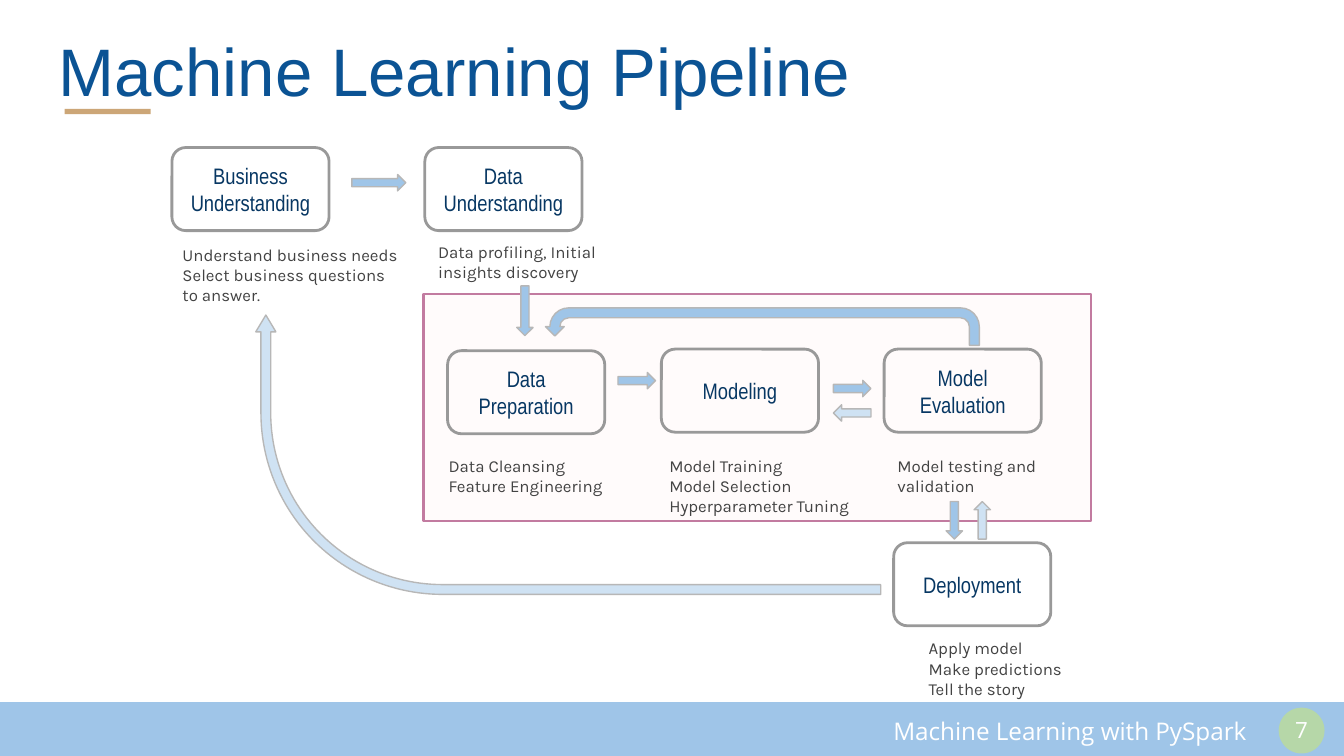
"""Build the machine learning pipeline slide."""
from pptx import Presentation
from pptx.dml.color import RGBColor
from pptx.enum.shapes import MSO_SHAPE
from pptx.enum.text import MSO_ANCHOR, PP_ALIGN
from pptx.util import Cm, Pt

WHITE = RGBColor(0xFF, 0xFF, 0xFF)
TITLE_BLUE = RGBColor(0x0B, 0x53, 0x94)
LABEL_BLUE = RGBColor(0x07, 0x37, 0x63)
FORWARD_BLUE = RGBColor(0x9F, 0xC5, 0xE8)
RETURN_BLUE = RGBColor(0xCF, 0xE2, 0xF3)
TAN = RGBColor(0xCC, 0xA6, 0x77)
GREEN = RGBColor(0xB6, 0xD7, 0xA8)
PINK = RGBColor(0xC2, 0x7B, 0xA0)
PALE_PINK = RGBColor(0xFF, 0xFB, 0xFB)
STAGE_GRAY = RGBColor(0x99, 0x99, 0x99)
ARROW_GRAY = RGBColor(0xB7, 0xB7, 0xB7)
NOTE_GRAY = RGBColor(0x43, 0x43, 0x43)

STAGE_WIDTH, STAGE_HEIGHT = 2.97, 1.57
ARROW_HEIGHT = 0.31
SHORT_ARROW = 0.71

STAGES = [
    ("Business Understanding", 3.25, 2.79),
    ("Data Understanding", 8.03, 2.79),
    ("Data Preparation", 8.46, 6.63),
    ("Modeling", 12.5, 6.6),
    ("Model Evaluation", 16.71, 6.6),
    ("Deployment", 16.89, 10.26),
]
NOTES = [
    ("Understand business needs\nSelect business questions to answer.", 3.2, 4.37, 4.62),
    ("Data profiling, Initial insights discovery", 8.03, 4.32, 3.78),
    ("Data Cleansing\nFeature Engineering", 8.23, 8.36, 4.32),
    ("Model Training\nModel Selection\nHyperparameter Tuning", 12.4, 8.36, 4.32),
    ("Model testing and validation", 16.71, 8.36, 3.78),
    ("Apply model\nMake predictions\nTell the story", 17.3, 11.81, 3.35),
]
STRAIGHT_ARROWS = [
    (6.65, 3.3, 1.02, 0, FORWARD_BLUE),
    (9.45, 5.72, 0.94, 90, FORWARD_BLUE),
    (11.68, 7.04, SHORT_ARROW, 0, FORWARD_BLUE),
    (15.75, 7.19, SHORT_ARROW, 0, FORWARD_BLUE),
    (15.75, 7.65, SHORT_ARROW, 180, RETURN_BLUE),
    (17.68, 9.68, SHORT_ARROW, 90, FORWARD_BLUE),
    (18.21, 9.68, SHORT_ARROW, 270, RETURN_BLUE),
]


def add_figure(page, kind, frame, fill=None, line=None, weight=0.75):
    """Add a flat preset shape; frame is left, top, width, height in cm."""
    shape = page.shapes.add_shape(kind, *map(Cm, frame))
    shape.shadow.inherit = False
    if fill is None:
        shape.fill.background()
    else:
        shape.fill.solid()
        shape.fill.fore_color.rgb = fill
    if line is None:
        shape.line.fill.background()
    else:
        shape.line.color.rgb = line
        shape.line.width = Pt(weight)
    return shape


def write_text(box, text, font, size, color, align=PP_ALIGN.LEFT, anchor=MSO_ANCHOR.MIDDLE):
    """Write wrapped text with even insets into a box."""
    frame = box.text_frame
    frame.word_wrap = True
    frame.vertical_anchor = anchor
    frame.margin_left = frame.margin_right = Cm(0.25)
    frame.margin_top = frame.margin_bottom = Cm(0.25)
    frame.text = text
    for paragraph in frame.paragraphs:
        paragraph.alignment = align
        for span in paragraph.runs:
            span.font.name = font
            span.font.size = Pt(size)
            span.font.color.rgb = color


def add_label(page, frame, *style, **placing):
    """Add a text box at a frame given in cm."""
    write_text(page.shapes.add_textbox(*map(Cm, frame)), *style, **placing)


def add_stage(page, name, left, top):
    """Add a rounded box for one pipeline stage."""
    frame = (left, top, STAGE_WIDTH, STAGE_HEIGHT)
    box = add_figure(page, MSO_SHAPE.ROUNDED_RECTANGLE, frame, line=STAGE_GRAY, weight=1.5)
    write_text(box, name, "Arial Narrow", 12, LABEL_BLUE, align=PP_ALIGN.CENTER)


def add_arrow(page, kind, frame, fill, rotation=0, adjustments=()):
    """Add a block arrow, turned clockwise by rotation degrees."""
    arrow = add_figure(page, kind, frame, fill, ARROW_GRAY)
    arrow.rotation = rotation
    for index, value in enumerate(adjustments):
        arrow.adjustments[index] = value
    return arrow


def add_title_and_footer(page):
    """Add the title with its accent and the footer band."""
    add_figure(page, MSO_SHAPE.RECTANGLE, (1.22, 2.06, 1.63, 0.1), TAN)
    add_figure(page, MSO_SHAPE.RECTANGLE, (0, 13.28, 25.4, 1.01), FORWARD_BLUE, FORWARD_BLUE)
    add_label(page, (15.72, 13.46, 8.08, 0.71), "Machine Learning with PySpark",
              "Open Sans", 13, WHITE, align=PP_ALIGN.RIGHT)
    add_figure(page, MSO_SHAPE.OVAL, (24.18, 13.39, 0.84, 0.84), GREEN, GREEN)
    add_label(page, (0.86, 0.46, 23.67, 1.73), "Machine Learning Pipeline",
              "Arial", 36, TITLE_BLUE)
    add_label(page, (23.95, 13.36, 1.3, 0.86), "7",
              "Open Sans", 12, WHITE, align=PP_ALIGN.CENTER)


def add_pipeline(page):
    """Add the stages, their notes and the arrows between them."""
    add_figure(page, MSO_SHAPE.RECTANGLE, (8, 5.56, 12.62, 4.29), PALE_PINK, PINK, 1.5)
    for name, left, top in STAGES:
        add_stage(page, name, left, top)
    for text, left, top, width in NOTES:
        add_label(page, (left, top, width, 1.24), text, "Karla", 9, NOTE_GRAY,
                  anchor=MSO_ANCHOR.TOP)
    for left, top, length, rotation, fill in STRAIGHT_ARROWS:
        add_arrow(page, MSO_SHAPE.RIGHT_ARROW, (left, top, length, ARROW_HEIGHT), fill, rotation)
    retrain = add_arrow(page, MSO_SHAPE.U_TURN_ARROW, (10.31, 5.82, 8.2, 0.71),
                        FORWARD_BLUE, adjustments=(0.265, 0.25, 0.25, 0.5, 0.75))
    retrain._element.spPr.get_or_add_xfrm().set("flipH", "1")
    add_arrow(page, MSO_SHAPE.BENT_ARROW, (8.1, 2.69, 5.28, 11.81),
              RETURN_BLUE, 270, (0.035, 0.036, 0.06, 0.65))


def main():
    """Create and save the deck."""
    deck = Presentation()
    deck.slide_width, deck.slide_height = Cm(25.4), Cm(14.29)
    page = deck.slides.add_slide(deck.slide_layouts[6])
    add_title_and_footer(page)
    add_pipeline(page)
    deck.save("out.pptx")


if __name__ == "__main__":
    main()
